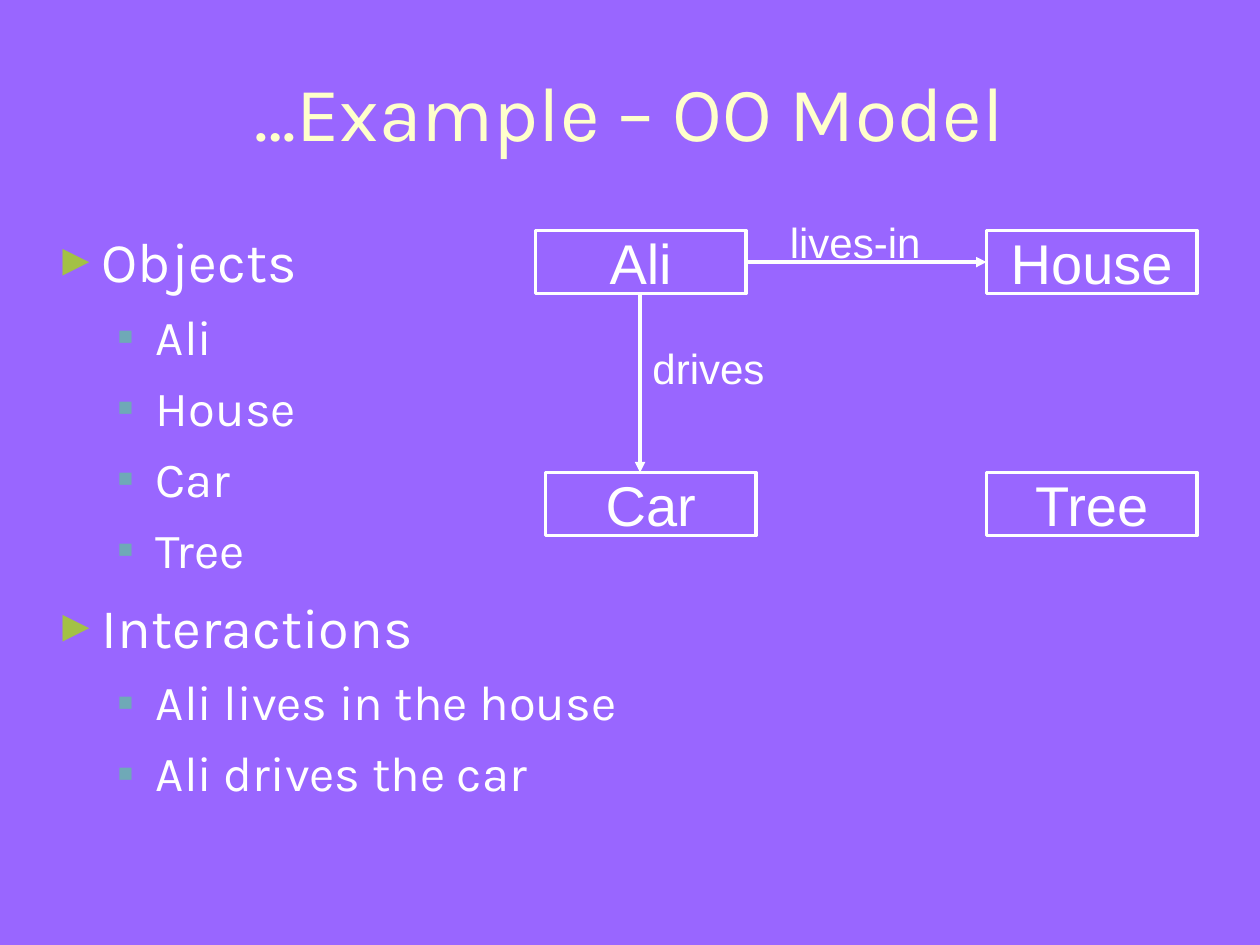
from lxml import etree
from pptx import Presentation
from pptx import util as u
from pptx.dml.color import RGBColor
from pptx.enum import shapes, text
from pptx.oxml.ns import qn

COLORS = {"back": "9966FF", "title": "FFFFCC", "white": "FFFFFF",
          "arrow": "A3C145", "square": "6FA9B7"}
# Per outline level: size, space before, left margin, bullet, colour, percent
LEVELS = [(32, 8, 0.38, 0.38, "►", "arrow", 80),
          (28, 7, 0.81, 0.31, "▪", "square", 100)]


def color(name):
    """Return the named colour."""
    return RGBColor.from_string(COLORS[name])


class SlideBuilder:
    """Holds the slide and its style, and adds elements to it."""

    heading_font, diagram_font, line_width = "Karla", "Arial", 2

    def __init__(self, slide):
        """Keep the slide and paint its background."""
        self.slide = slide
        slide.background.fill.solid()
        slide.background.fill.fore_color.rgb = color("back")

    def style(self, para, size, font, ink="white"):
        """Format every run of a paragraph."""
        for span in para.runs:
            span.font.size, span.font.name = u.Pt(size), font
            span.font.color.rgb = color(ink)

    def textbox(self, left, top, width, height):
        """Add an empty wrapping text box and return its frame."""
        box = self.slide.shapes.add_textbox(*map(u.Inches, (left, top, width, height)))
        box.text_frame.word_wrap = True
        return box.text_frame

    def title(self, words):
        """Add the centred title."""
        frame = self.textbox(0.33, 0.25, 9.34, 1.25)
        frame.vertical_anchor = text.MSO_ANCHOR.MIDDLE
        frame.text = words
        para = frame.paragraphs[0]
        para.alignment = text.PP_ALIGN.CENTER
        self.style(para, 44, self.heading_font, "title")

    def outline(self, items):
        """Add a bulleted outline of (level, words) pairs."""
        frame = self.textbox(0.33, 1.75, 9.34, 4.92)
        for index, (level, words) in enumerate(items):
            para = frame.add_paragraph() if index else frame.paragraphs[0]
            para.text, para.level = words, level
            size, before, margin, hang, mark, ink, percent = LEVELS[level]
            para.space_before = u.Pt(before)
            self.style(para, size, self.heading_font)
            self.bullet(para, margin, hang, mark, ink, percent)

    def bullet(self, para, margin, hang, mark, ink, percent):
        """Give a paragraph a hanging coloured bullet."""
        props = para._p.get_or_add_pPr()
        props.set("marL", str(u.Inches(margin)))
        props.set("indent", str(-u.Inches(hang)))
        tint = etree.SubElement(props, qn("a:buClr"))
        etree.SubElement(tint, qn("a:srgbClr"), val=COLORS[ink])
        etree.SubElement(props, qn("a:buSzPct"), val=str(percent * 1000))
        etree.SubElement(props, qn("a:buFont"), typeface=self.diagram_font)
        etree.SubElement(props, qn("a:buChar"), char=mark)

    def node(self, words, left, top):
        """Add an outlined object box."""
        box = self.slide.shapes.add_shape(
            shapes.MSO_SHAPE.RECTANGLE, *map(u.Inches, (left, top, 1.67, 0.5)))
        box.shadow.inherit = False
        box.fill.background()
        box.line.color.rgb, box.line.width = color("white"), u.Pt(self.line_width)
        frame = box.text_frame
        frame.text, frame.word_wrap = words, False
        frame.vertical_anchor = text.MSO_ANCHOR.MIDDLE
        frame.paragraphs[0].alignment = text.PP_ALIGN.CENTER
        self.style(frame.paragraphs[0], 32, self.diagram_font)

    def arrow(self, *ends):
        """Add a straight arrow from (x1, y1) to (x2, y2)."""
        link = self.slide.shapes.add_connector(
            shapes.MSO_CONNECTOR.STRAIGHT, *map(u.Inches, ends))
        link.line.color.rgb, link.line.width = color("white"), u.Pt(self.line_width)
        etree.SubElement(link.line._get_or_add_ln(), qn("a:tailEnd"), type="triangle")
        etree.SubElement(link._element.spPr, qn("a:effectLst"))

    def label(self, words, left, top):
        """Add the caption of an arrow."""
        frame = self.textbox(left, top, 1.25, 0.5)
        frame.text = words
        frame.paragraphs[0].space_before = u.Pt(15)
        self.style(frame.paragraphs[0], 24, self.diagram_font)


deck = Presentation()
deck.slide_width, deck.slide_height = u.Inches(10), u.Inches(7.5)
builder = SlideBuilder(deck.slides.add_slide(deck.slide_layouts[6]))

builder.title("…Example – OO Model")
builder.outline([(0, "Objects"), (1, "Ali"), (1, "House"), (1, "Car"), (1, "Tree"),
                 (0, "Interactions"), (1, "Ali lives in the house"),
                 (1, "Ali drives the car")])

upper, lower, right = 1.83, 3.75, 7.83
for name, left, top in [("Ali", 4.25, upper), ("Car", 4.33, lower),
                        ("House", right, upper), ("Tree", right, lower)]:
    builder.node(name, left, top)
builder.arrow(5.92, 2.08, right, 2.08)
builder.arrow(5.08, 2.33, 5.08, lower)
builder.label("lives-in", 6.17, 1.67)
builder.label("drives", 5.08, 2.67)

deck.save("out.pptx")
